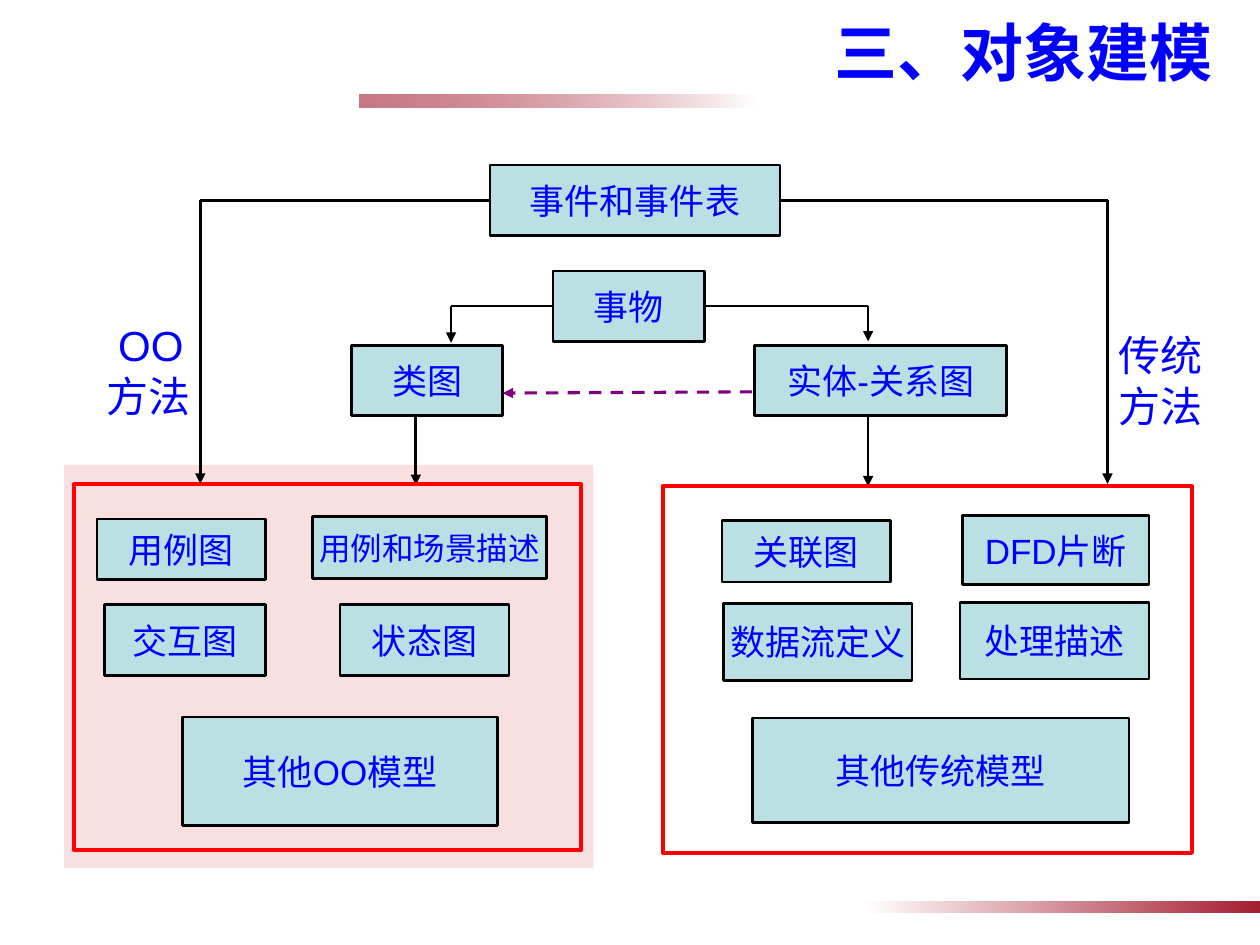
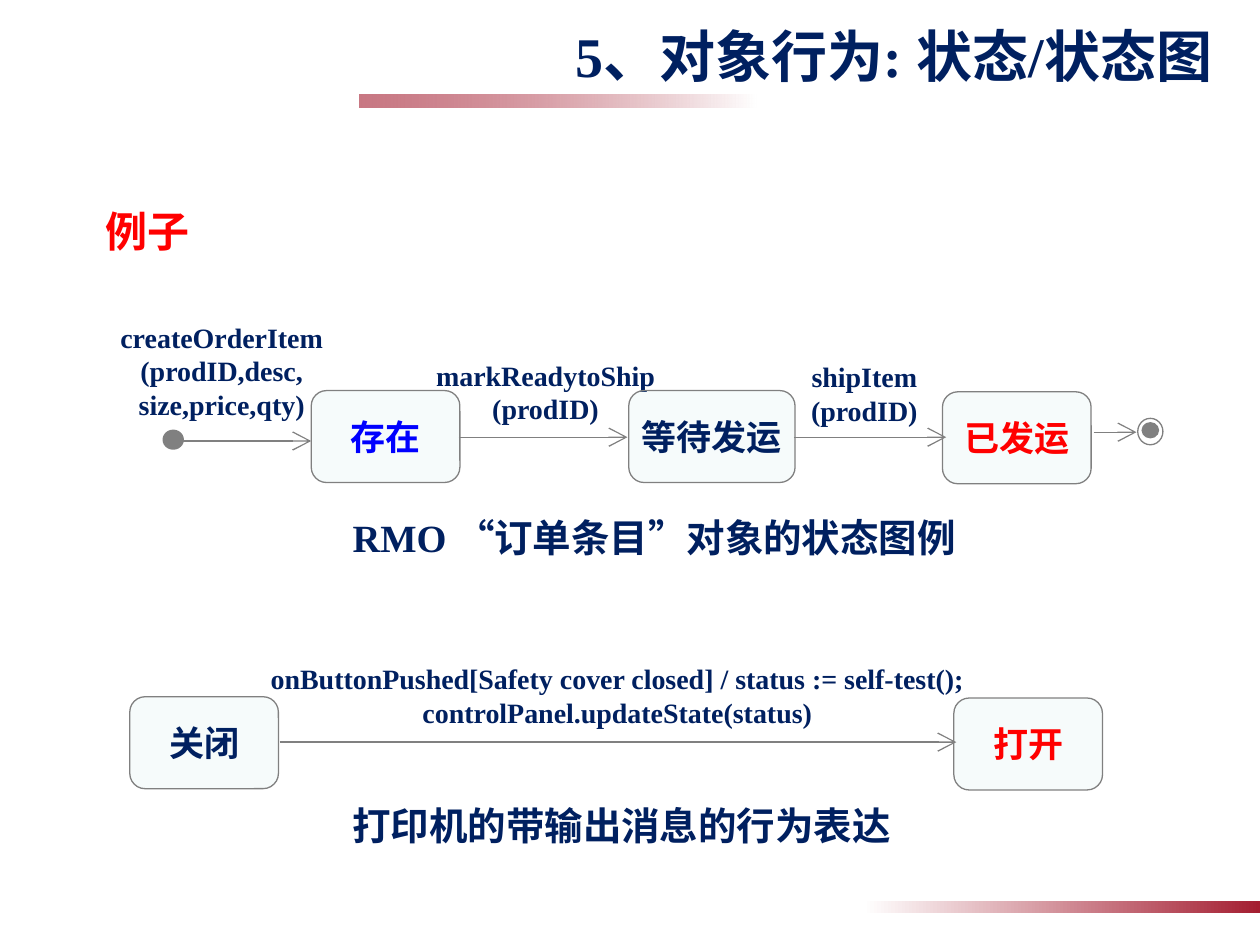
from lxml.etree import SubElement as Sub
from pptx import Presentation
from pptx.dml.color import RGBColor as Rgb
from pptx.enum.dml import MSO_LINE_DASH_STYLE as Dash
from pptx.enum.shapes import MSO_CONNECTOR as Conn, MSO_SHAPE as Shape
from pptx.enum.text import MSO_ANCHOR as Anchor, PP_ALIGN as Align
from pptx.oxml.ns import qn
from pptx.util import Inches, Pt

# Page grid: 100 columns by 75 rows
WIDTH, HEIGHT = Inches(10), Inches(7.5)
COL, ROW = WIDTH / 100, HEIGHT / 75

HUES = {
    "white": "FFFFFF", "black": "000000", "blue": "0000FF", "navy": "002060",
    "red": "FF0000", "wine": "A41E31", "rose": "CC0000", "teal": "BBE0E3",
    "gray": "808080", "plum": "800080",
}
HAN = "Noto Sans CJK SC"
PLAIN = {"name": "Arial", "bold": False, "hue": "blue"}
SERIF = {"name": "Times New Roman", "bold": True, "hue": "navy"}


def hue(name):
    return Rgb.from_string(HUES[name])


def place(x, y, w, h):
    return [round(n) for n in (x * COL, y * ROW, w * COL, h * ROW)]


def fade(shape, share):
    """Make the last colour of the fill see-through."""
    tint = list(shape._element.spPr.iter(qn("a:srgbClr")))[-1]
    Sub(tint, qn("a:alpha"), val=str(share * 1000))


def write(shape, text, size, look, align=Align.CENTER,
          anchor=Anchor.MIDDLE, wrap=False, space=None):
    frame = shape.text_frame
    frame.word_wrap, frame.vertical_anchor = wrap, anchor
    frame.text = text
    style = {"size": Pt(size), "name": look["name"], "bold": look["bold"]}
    for para in frame.paragraphs:
        para.alignment, para.line_spacing = align, space
        for run in para.runs:
            for key, value in style.items():
                setattr(run.font, key, value)
            run.font.color.rgb = hue(look["hue"])
            Sub(run._r.get_or_add_rPr(), qn("a:ea"), typeface=HAN)


def draw(slide, area, kind=Shape.RECTANGLE, fill=None, alpha=None,
         edge=None, weight=1.5):
    shape = slide.shapes.add_shape(kind, *place(*area))
    shape.shadow.inherit = False
    if fill:
        shape.fill.solid()
        shape.fill.fore_color.rgb = hue(fill)
    else:
        shape.fill.background()
    if alpha:
        fade(shape, alpha)
    if edge:
        shape.line.color.rgb = hue(edge)
        shape.line.width = Pt(weight)
    else:
        shape.line.fill.background()
    return shape


def label(slide, area, text, size, look, **form):
    shape = slide.shapes.add_textbox(*place(*area))
    write(shape, text, size, look, **form)
    return shape


def link(slide, start, end, edge="black", weight=1.5, head=None, dash=None,
         scale="med"):
    (x, y), (u, v) = start, end
    line = slide.shapes.add_connector(Conn.STRAIGHT, *place(x, y, u, v))
    line.line.color.rgb = hue(edge)
    line.line.width = Pt(weight)
    if dash:
        line.line.dash_style = dash
    props = line._element.spPr
    if head:
        Sub(props.find(qn("a:ln")), qn("a:tailEnd"),
            type=head, w=scale, len=scale)
    Sub(props, qn("a:effectLst"))


def bend(slide, start, end):
    """Go across, then down to an arrowhead."""
    turn = (end[0], start[1])
    link(slide, start, turn)
    link(slide, turn, end, head="triangle")


def node(slide, area, text, size=20, look=PLAIN):
    write(draw(slide, area, fill="teal", edge="black"), text, size, look)


def state(slide, area, text, ink="navy"):
    shape = draw(slide, area, Shape.ROUNDED_RECTANGLE, "teal", 12, "gray", 0.75)
    write(shape, text, 20, {**SERIF, "hue": ink})


def step(slide, x, end, y):
    link(slide, (x, y), (end, y), "gray", 0.75, "arrow", scale="lg")


def band(slide, x, y, turn=0, alpha=None):
    bar = draw(slide, (x, y, 31.5, 1))
    bar.rotation = turn
    bar.fill.gradient()
    bar.fill.gradient_angle = 0
    for stop, name in zip(bar.fill.gradient_stops, ("white", "wine")):
        stop.color.rgb = hue(name)
    if alpha:
        fade(bar, alpha)


def page(deck):
    slide = deck.slides.add_slide(deck.slide_layouts[6])
    band(slide, 28.5, 7.5, 180, 60)
    band(slide, 68.5, 71.5)
    return slide


def title(slide, top, text, size, look):
    label(slide, (0, top, 97.2, 7.3), text, size, look,
          align=Align.RIGHT, wrap=True)


def models(deck):
    slide = page(deck)
    draw(slide, (5.1, 36.9, 42, 32), fill="rose", alpha=12)

    # Arrows into the two groups, then their frames
    for x, top, end in ((33, 32.5, 38.5), (68.9, 33, 38.6)):
        link(slide, (x, top), (x, end), head="triangle")
    for area in ((5.9, 38.4, 40.2, 29.1), (52.6, 38.6, 42, 29.1)):
        draw(slide, area, edge="red", weight=2.25)

    # Lines from the events and things
    bend(slide, (61.9, 15.9), (87.9, 38.4))
    bend(slide, (38.9, 15.9), (15.9, 38.4))
    bend(slide, (55.9, 24.3), (68.9, 27.1))
    bend(slide, (43.9, 24.3), (35.8, 27.2))
    link(slide, (59.7, 31.1), (39.9, 31.2), "plum", 1.75, "triangle", Dash.DASH)

    # Boxes from top to bottom
    for area, text in (
        ((38.9, 13.1, 23, 5.6), "事件和事件表"),
        ((43.9, 21.5, 12, 5.6), "事物"),
        ((27.9, 27.4, 12, 5.6), "类图"),
        ((59.9, 27.4, 20, 5.6), "实体-关系图"),
        ((7.7, 41.2, 13.4, 4.8), "用例图"),
        ((8.3, 48, 12.8, 5.6), "交互图"),
        ((27, 48, 13.4, 5.6), "状态图"),
        ((14.5, 56.9, 25, 8.6), "其他OO模型"),
        ((57.3, 41.3, 13.4, 4.9), "关联图"),
        ((76.4, 40.9, 14.8, 5.5), "DFD片断"),
        ((57.4, 47.9, 15, 6.1), "数据流定义"),
        ((76.2, 47.8, 15, 6.1), "处理描述"),
    ):
        node(slide, area, text)
    node(slide, (24.8, 41, 18.6, 4.9), "用例和场景描述", 18)
    node(slide, (59.7, 57, 29.9, 8.3), "其他传统模型",
         look={**PLAIN, "name": "Comic Neue"})

    # Names of the two methods
    form = {"align": Align.LEFT, "anchor": Anchor.TOP, "wrap": True}
    left = label(slide, (7.5, 24.9, 21.3, 9), "OO\n方法", 24, PLAIN, **form)
    first = left.text_frame.paragraphs[0]
    first._p.get_or_add_pPr().set("marL", str(round(0.9 * COL)))
    label(slide, (87.8, 25.7, 17.3, 9), "传统\n方法", 24, PLAIN, **form)
    title(slide, 0.4, "三、对象建模", 36, {**PLAIN, "name": HAN, "bold": True})


def states(deck):
    slide = page(deck)
    form = {"align": Align.LEFT, "anchor": Anchor.TOP, "wrap": True}
    label(slide, (7.4, 15.8, 85.2, 6.9), "例子", 24,
          {**SERIF, "hue": "red"}, **form)
    for y, text in ((39.6, "RMO “订单条目”对象的状态图例"),
                    (62.4, "打印机的带输出消息的行为表达")):
        label(slide, (27, y, 54.7, 5.6), text, 22, SERIF, space=1.2, **form)

    # Labels of the steps, each centred on its column and row
    for x, y, wide, high, text in (
        (17.6, 29.4, 21, 9, "createOrderItem\n(prodID,desc,\nsize,price,qty)"),
        (43.3, 31.1, 21, 6.2, "markReadytoShip\n(prodID)"),
        (68.6, 31.2, 21, 6.2, "shipItem\n(prodID)"),
        (49, 55.2, 62.6, 6.2,
         "onButtonPushed[Safety cover closed] / status := self-test();\n"
         "controlPanel.updateState(status)"),
    ):
        label(slide, (x - wide / 2, y - high / 2, wide, high), text, 16, SERIF)

    # States of both charts
    for x, y, wide, text, ink in (
        (24.7, 31, 11.8, "存在", "blue"),
        (49.9, 31, 13.2, "等待发运", "navy"),
        (74.8, 31.1, 11.8, "已发运", "red"),
        (10.3, 55.3, 11.8, "关闭", "navy"),
        (75.7, 55.4, 11.8, "打开", "red"),
    ):
        state(slide, (x, y, wide, 7.3), text, ink)

    # Steps between them
    for x, end, y in ((14.4, 24.7, 35), (36.4, 49.8, 34.7), (63, 75.1, 34.7),
                      (86.8, 90.2, 34.3), (22.2, 75.9, 58.9)):
        step(slide, x, end, y)

    # Start and end marks
    draw(slide, (12.9, 34.1, 1.7, 1.6), Shape.OVAL, "gray")
    draw(slide, (90.6, 33.5, 1.4, 1.3), Shape.OVAL, "gray")
    draw(slide, (90.3, 33.2, 2, 2.1), Shape.OVAL, edge="gray", weight=0.75)
    title(slide, 0.7, "5、对象行为: 状态/状态图", 32, SERIF)


def main():
    deck = Presentation()
    deck.slide_width, deck.slide_height = WIDTH, HEIGHT
    models(deck)
    states(deck)
    deck.save("out.pptx")


if __name__ == "__main__":
    main()
